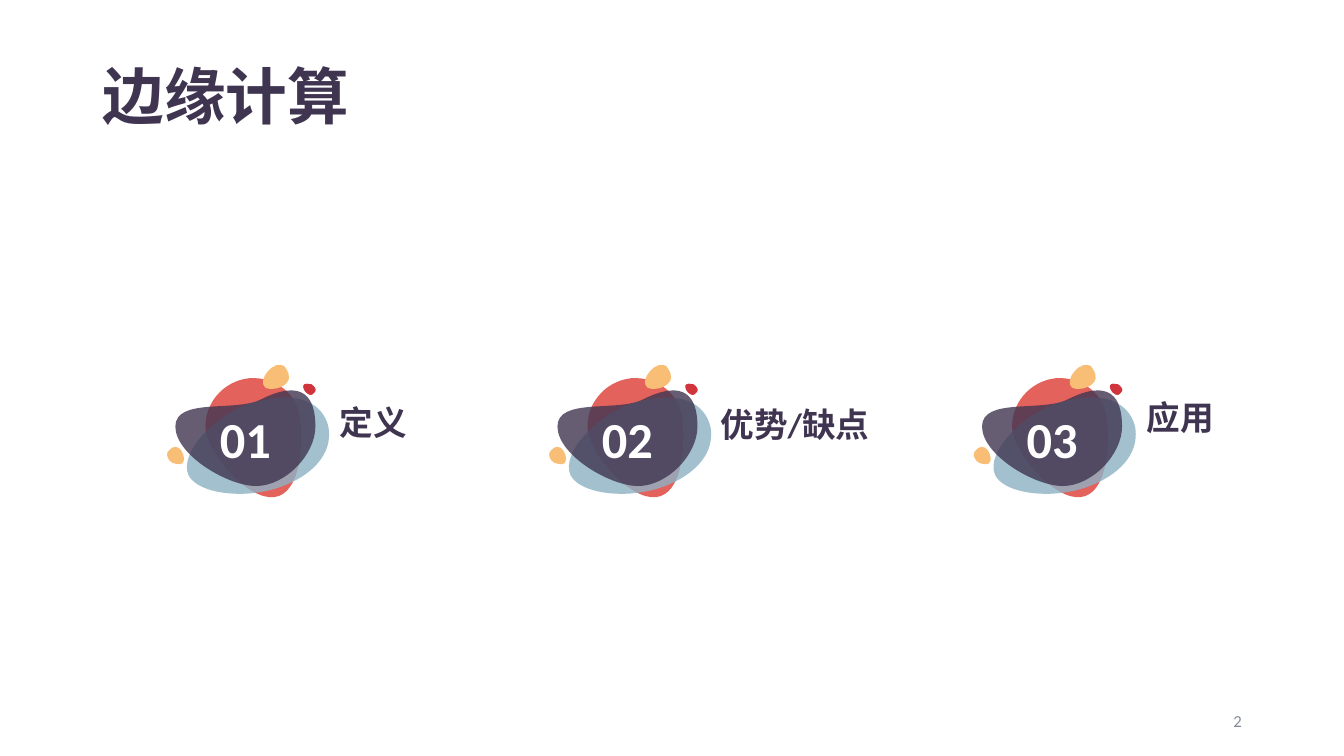
"""Build the edge computing agenda slide with three numbered badges."""
import pptx
import pptx.dml.color
import pptx.enum.lang
import pptx.enum.text
import pptx.oxml.ns
import pptx.util
from lxml import etree

Pt = pptx.util.Pt
qn = pptx.oxml.ns.qn
ALIGN = pptx.enum.text.PP_ALIGN
ANCHOR = pptx.enum.text.MSO_ANCHOR
AUTO_SIZE = pptx.enum.text.MSO_AUTO_SIZE

PLUM, CORAL, SKY = "403551", "E4625C", "8DB1C4"
AMBER, CRIMSON, WHITE, GREY = "F9BE75", "D0343C", "FFFFFF", "848B98"

BOUND_STEPS = 20
BADGE_TOP = 260.8

CORAL_BLOB = [
    (27.4, 46.1), (29.5, 64.1), (57.6, 96.5), (76.3, 94.3), (95, 92.2), (97.2, 57.6),
    (95, 38.9), (93.6, 20.9), (77, 7.9), (58.3, 9.4), (39.6, 11.5), (25.9, 28.1)]
SKY_BLOB = [
    (15.1, 78.5), (20.9, 90), (45.4, 94.3), (66.2, 90.7), (87.1, 87.8), (119.5, 72),
    (115.2, 44.6), (113, 33.8), (101.5, 14.4), (59, 27.4), (36, 34.6), (7.9, 61.9)]
PLUM_BLOB = [
    (5.8, 43.9), (5.8, 64.1), (43.2, 86.4), (63.4, 86.4), (84.2, 86.4), (105.8, 64.1),
    (105.8, 43.9), (105.8, 23), (97.2, 9.4), (67, 24.5), (49, 33.8), (5.8, 23)]
TOP_DROP = [
    (69.8, 15.8), (72, 18), (81.4, 17.3), (85, 13), (89.3, 8.6), (85.7, 3.6),
    (83.5, 0.7), (80.6, -1.4), (75.6, 0), (72, 4.3), (68.4, 7.9), (67, 13.7)]
LEFT_DROP = [
    (11.5, 69.1), (13, 67), (10.8, 60.5), (7.9, 59), (4.3, 56.9), (1.4, 60.5),
    (0, 62.6), (-0.7, 64.8), (0.7, 68.4), (3.6, 69.8), (7.2, 71.3), (10.8, 71.3)]
RIGHT_DROP = [
    (97.2, 14.4), (96.5, 15.8), (97.9, 19.4), (100.8, 20.9), (103, 22.3), (105.1, 20.2),
    (105.8, 18.7), (106.6, 17.3), (105.1, 15.1), (103, 13.7), (100.8, 13), (97.9, 13)]

BADGE_LAYERS = [
    (CORAL_BLOB, CORAL, 100), (SKY_BLOB, SKY, 80), (PLUM_BLOB, PLUM, 80),
    (TOP_DROP, AMBER, 100), (LEFT_DROP, AMBER, 100), (RIGHT_DROP, CRIMSON, 100)]

TOPICS = [
    ("01", "定义", "Arial", 119.5, 235.4, 272.2),
    ("02", "优势/缺点", "Calibri", 392.4, 507.6, 273.6),
    ("03", "应用", "Calibri", 695.7, 812.2, 268.6)]


def rgb(hex_color):
    """Turn a hex string into a colour."""
    return pptx.dml.color.RGBColor.from_string(hex_color)


def write_text(shape, text, font="Calibri", size=24, color=PLUM, bold=True,
               align=ALIGN.LEFT, anchor=ANCHOR.MIDDLE, insets=(7.2, 3.6, 7.2, 3.6),
               line_spacing=None, auto_size=AUTO_SIZE.NONE):
    """Fill a shape with one formatted paragraph."""
    frame = shape.text_frame
    frame.word_wrap = True
    frame.auto_size = auto_size
    frame.vertical_anchor = anchor
    (frame.margin_left, frame.margin_top,
     frame.margin_right, frame.margin_bottom) = map(Pt, insets)
    paragraph = frame.paragraphs[0]
    paragraph.alignment = align
    if line_spacing:
        paragraph.line_spacing = line_spacing
    run = paragraph.add_run()
    run.text = text
    run.font.name = font
    run.font.size = Pt(size)
    run.font.bold = bold
    run.font.color.rgb = rgb(color)
    run.font.language_id = pptx.enum.lang.MSO_LANGUAGE_ID.SIMPLIFIED_CHINESE


def add_text(slide, text, left, top, width, height, **text_format):
    """Add a text box holding formatted text."""
    box = slide.shapes.add_textbox(Pt(left), Pt(top), Pt(width), Pt(height))
    write_text(box, text, **text_format)


def curve_bounds(curves):
    """Return the left, top, right and bottom of a chain of cubic curves."""
    ranges = []
    for axis in (0, 1):
        values = []
        for curve in curves:
            a, b, c, d = (point[axis] for point in curve)
            for step in range(BOUND_STEPS):
                t = step / BOUND_STEPS
                u = 1 - t
                values.append(u**3 * a + 3 * u**2 * t * b + 3 * u * t**2 * c + t**3 * d)
        ranges.append((min(values), max(values)))
    (left, right), (top, bottom) = ranges
    return left, top, right, bottom


def add_path_step(outline, tag, points, left, top):
    """Append one drawing step, measured from the corner of the shape."""
    step = etree.SubElement(outline, qn(tag))
    for x, y in points:
        point = etree.SubElement(step, qn("a:pt"))
        point.set("x", str(Pt(x - left)))
        point.set("y", str(Pt(y - top)))


def add_blob(group, controls, left, top, color, opacity):
    """Add one outline of smooth curves with a flat fill."""
    closed = controls + controls[:1]
    curves = [closed[first:first + 4] for first in range(0, len(controls), 3)]
    min_x, min_y, max_x, max_y = curve_bounds(curves)
    corners = [(Pt(left + x), Pt(top + y)) for x, y in controls[::3]]
    builder = group.shapes.build_freeform(*corners[0])
    builder.add_line_segments(corners[1:], close=True)
    blob = builder.convert_to_shape()
    blob.left, blob.top = Pt(left + min_x), Pt(top + min_y)
    blob.width, blob.height = Pt(max_x - min_x), Pt(max_y - min_y)

    outline = next(blob._element.iter(qn("a:path")))
    outline.clear()
    outline.set("w", str(blob.width))
    outline.set("h", str(blob.height))
    add_path_step(outline, "a:moveTo", controls[:1], min_x, min_y)
    for curve in curves:
        add_path_step(outline, "a:cubicBezTo", curve[1:], min_x, min_y)
    add_path_step(outline, "a:close", [], min_x, min_y)

    blob.shadow.inherit = False
    blob.line.fill.background()
    blob.fill.solid()
    blob.fill.fore_color.rgb = rgb(color)
    if opacity < 100:
        fill_color = next(blob._element.spPr.iter(qn("a:srgbClr")))
        etree.SubElement(fill_color, qn("a:alpha")).set("val", str(opacity * 1000))
    return blob


def add_badge(slide, number, left, top):
    """Add a group of blobs carrying a number."""
    badge = slide.shapes.add_group_shape()
    for controls, color, opacity in BADGE_LAYERS:
        blob = add_blob(badge, controls, left, top, color, opacity)
        if controls is PLUM_BLOB:
            write_text(blob, number, size=36, color=WHITE, align=ALIGN.CENTER,
                       insets=(2.9, 2.9, 2.9, 2.9))


def add_title(slide, text):
    """Place and format the title placeholder."""
    title = slide.shapes.title
    title.left, title.top, title.width, title.height = map(Pt, (66.2, 26.6, 828, 89.3))
    write_text(title, text, font="Arial", size=44, line_spacing=0.9)


def main():
    """Build and save the slide."""
    deck = pptx.Presentation()
    deck.slide_width, deck.slide_height = Pt(960), Pt(540)
    slide = deck.slides.add_slide(deck.slide_layouts[5])
    add_title(slide, "边缘计算")
    add_text(slide, "2", 678.2, 500.4, 216, 28.8, size=12, color=GREY, bold=False,
             align=ALIGN.RIGHT)
    for number, topic, font, badge_left, label_left, label_top in TOPICS:
        add_badge(slide, number, badge_left, BADGE_TOP)
        add_text(slide, topic, label_left, label_top, 234.7, 43.9, font=font,
                 anchor=ANCHOR.BOTTOM, insets=(7.2, 14.4, 7.2, 0),
                 auto_size=AUTO_SIZE.SHAPE_TO_FIT_TEXT)
    deck.save("out.pptx")


if __name__ == "__main__":
    main()
